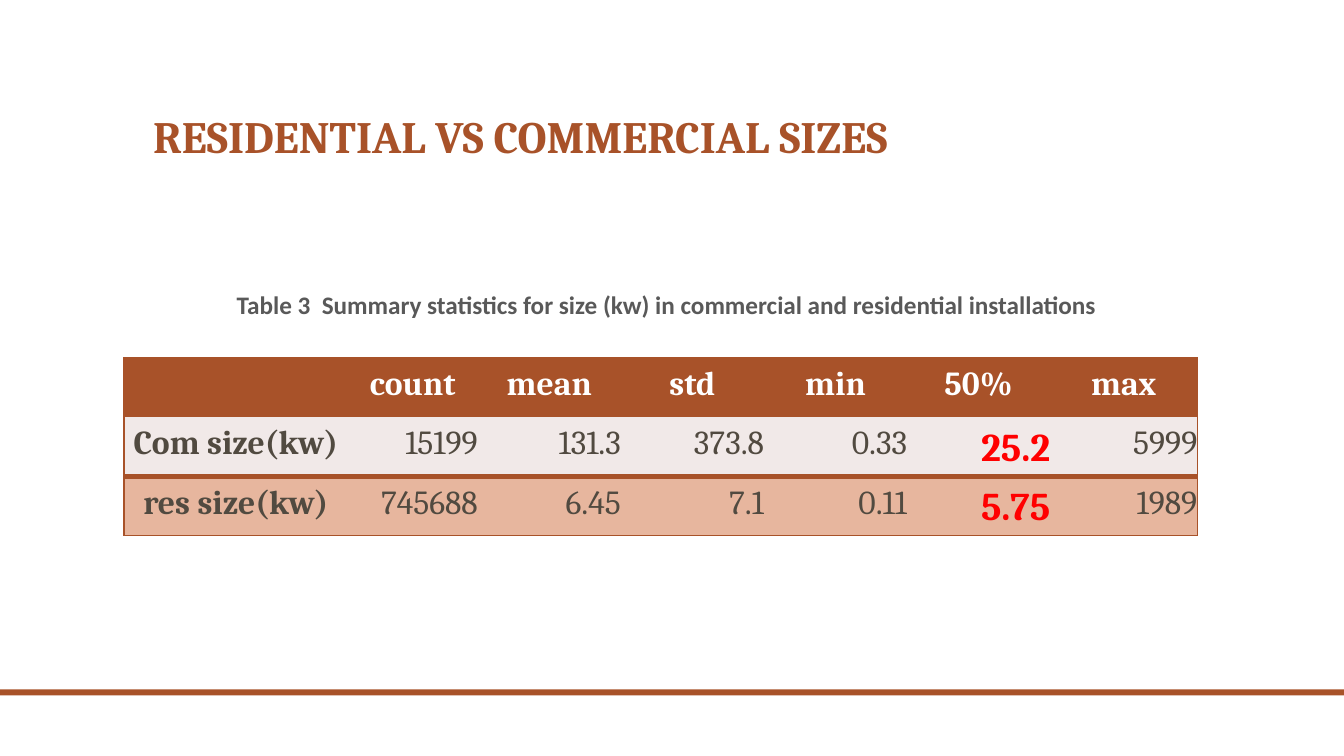
import lxml.etree
import pptx
import pptx.dml.color
import pptx.enum.shapes
import pptx.enum.text
import pptx.oxml.ns
import pptx.util

COLORS = {"rust": "A85229", "white": "FFFFFF", "brown": "514A40", "red": "FF0000",
          "pale": "F1E9E8", "peach": "E7B69E", "gray": "595959"}
GRID_COLUMNS, GRID_ROWS = 160, 90
CELL = pptx.util.Inches(1) / 12
NO_STYLE = "{2D5ABB26-0587-4C30-8999-92F81FD0307C}"
ALIGN = pptx.enum.text.PP_ALIGN

COLUMN_WIDTHS = [26.64, 15.48, 17.04, 17.04, 17.04, 17.04, 17.52]
ROW_HEIGHT = 7.04
STATISTICS = [
    ["", "count", "mean", "std", "min", "50%", "max"],
    ["Com size(kw)", "15199", "131.3", "373.8", "0.33", "25.2", "5999"],
    ["res size(kw)", "745688", "6.45", "7.1", "0.11", "5.75", "1989"],
]
ROW_FILLS = ["rust", "pale", "peach"]
MEDIAN_COLUMN = STATISTICS[0].index("50%")


def grid(count):
    return pptx.util.Emu(round(count * CELL))


def rgb(name):
    return pptx.dml.color.RGBColor.from_string(COLORS[name])


def add_span(para, text, size, color, font="Cambria", bold=True):
    span = para.add_run()
    span.text = text
    span.font.name = font
    span.font.size = pptx.util.Pt(size)
    span.font.bold = bold
    span.font.color.rgb = rgb(color)


def set_title(page, text):
    title = page.shapes.title
    title.left, title.top, title.width, title.height = map(grid, (17.04, 5.04, 126, 15))
    title.text_frame.vertical_anchor = pptx.enum.text.MSO_ANCHOR.BOTTOM
    title.text_frame.word_wrap = True
    para = title.text_frame.paragraphs[0]
    para.alignment = ALIGN.LEFT
    para.line_spacing = 0.9
    add_span(para, text, 32, "rust")


def add_footer_bar(page):
    bar = page.shapes.add_shape(pptx.enum.shapes.MSO_SHAPE.RECTANGLE,
                                *map(grid, (0, 82.08, GRID_COLUMNS, 0.72)))
    bar.shadow.inherit = False
    bar.fill.solid()
    bar.fill.fore_color.rgb = rgb("rust")
    bar.line.fill.background()


def add_caption(page, text):
    box = page.shapes.add_textbox(*map(grid, (27, 33.84, 105.96, 8.52)))
    box.text_frame.word_wrap = True
    add_span(box.text_frame.paragraphs[0], text, 18, "gray", font="Calibri")


def add_border(cell, side, points):
    """Draw one side (L, R, T or B); sides go in that order, before the fill."""
    tag = pptx.oxml.ns.qn
    properties = cell._tc.get_or_add_tcPr()
    line = lxml.etree.SubElement(properties, tag(f"a:ln{side}"), w=str(pptx.util.Pt(points)))
    fill = lxml.etree.SubElement(line, tag("a:solidFill"))
    lxml.etree.SubElement(fill, tag("a:srgbClr"), val=COLORS["rust"])


def border_widths(row, column):
    """Thin outer frame, and a thick rule above the last row."""
    last_row, last_column = len(STATISTICS) - 1, len(COLUMN_WIDTHS) - 1
    widths = {}
    if column == 0:
        widths["L"] = 1
    if column == last_column:
        widths["R"] = 1
    if row != 1:
        widths["T"] = 4 if row == last_row else 1
    if row == last_row:
        widths["B"] = 1
    return widths


def fill_cell(cell, row, column, text):
    for side, points in border_widths(row, column).items():
        add_border(cell, side, points)
    cell.fill.solid()
    cell.fill.fore_color.rgb = rgb(ROW_FILLS[row])
    cell.margin_left = cell.margin_right = cell.margin_top = cell.margin_bottom = 0
    if not text:
        return
    heading = row == 0 or column == 0
    median = column == MEDIAN_COLUMN and not heading
    para = cell.text_frame.paragraphs[0]
    para.alignment = ALIGN.CENTER if heading else ALIGN.RIGHT
    para.line_spacing = 1.2
    para.space_after = pptx.util.Pt(10)
    color = "white" if row == 0 else "red" if median else "brown"
    add_span(para, text, 28 if median else 24, color, bold=heading or median)


def add_statistics_table(page):
    frame = page.shapes.add_table(
        len(STATISTICS), len(COLUMN_WIDTHS), grid(14.76), grid(42.6),
        grid(sum(COLUMN_WIDTHS)), grid(ROW_HEIGHT * len(STATISTICS)))
    table = frame.table
    table.horz_banding = False
    table._tbl.tblPr.find(pptx.oxml.ns.qn("a:tableStyleId")).text = NO_STYLE
    for column, width in zip(table.columns, COLUMN_WIDTHS):
        column.width = grid(width)
    for row, values in enumerate(STATISTICS):
        table.rows[row].height = grid(ROW_HEIGHT)
        for column, text in enumerate(values):
            fill_cell(table.cell(row, column), row, column, text)


def main():
    deck = pptx.Presentation()
    deck.slide_width, deck.slide_height = grid(GRID_COLUMNS), grid(GRID_ROWS)
    page = deck.slides.add_slide(deck.slide_layouts.get_by_name("Title Only"))
    add_footer_bar(page)
    set_title(page, "RESIDENTIAL VS COMMERCIAL SIZES")
    add_statistics_table(page)
    add_caption(page, "Table 3  Summary statistics for size (kw) in commercial "
                      "and residential installations")
    deck.save("out.pptx")


if __name__ == "__main__":
    main()
